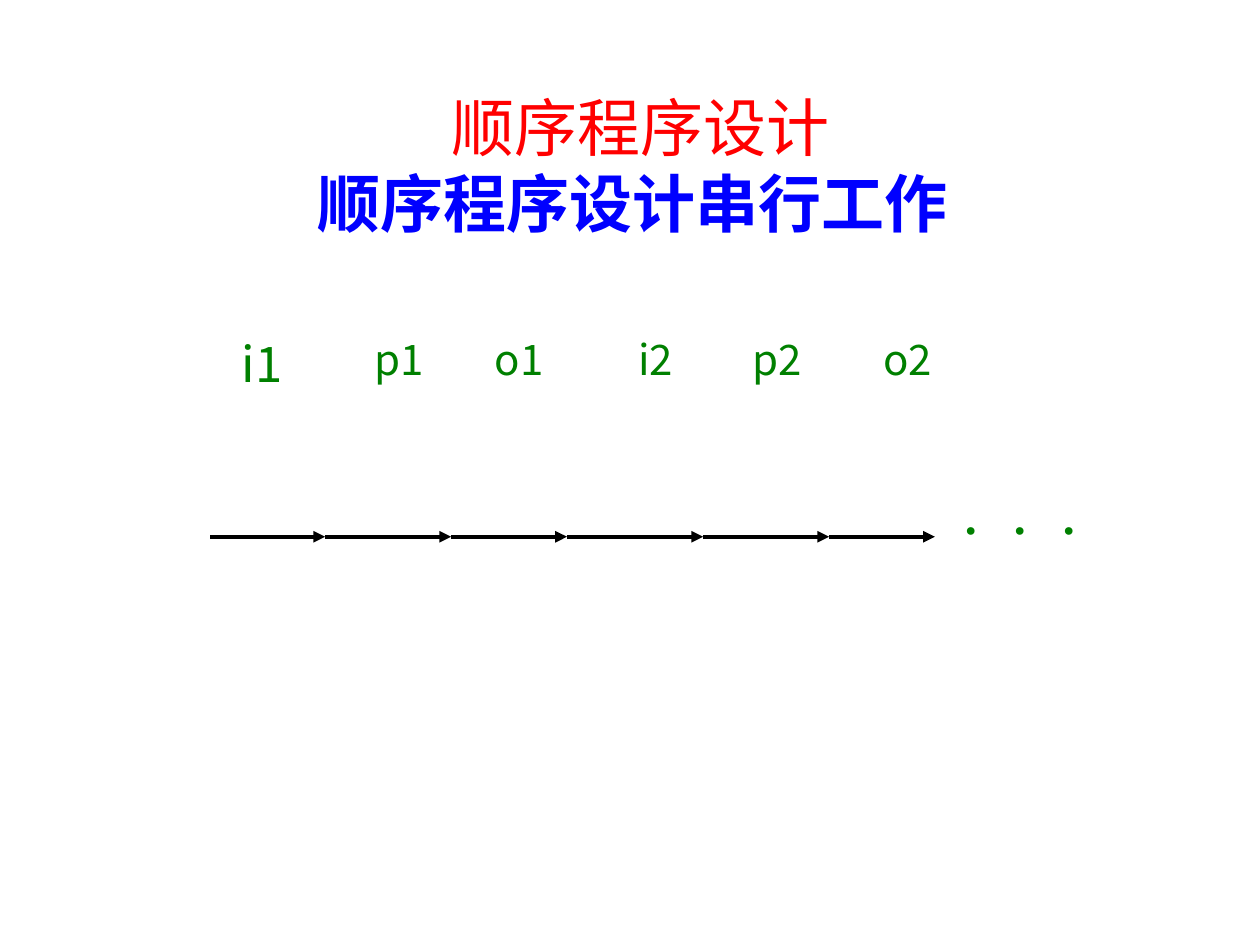
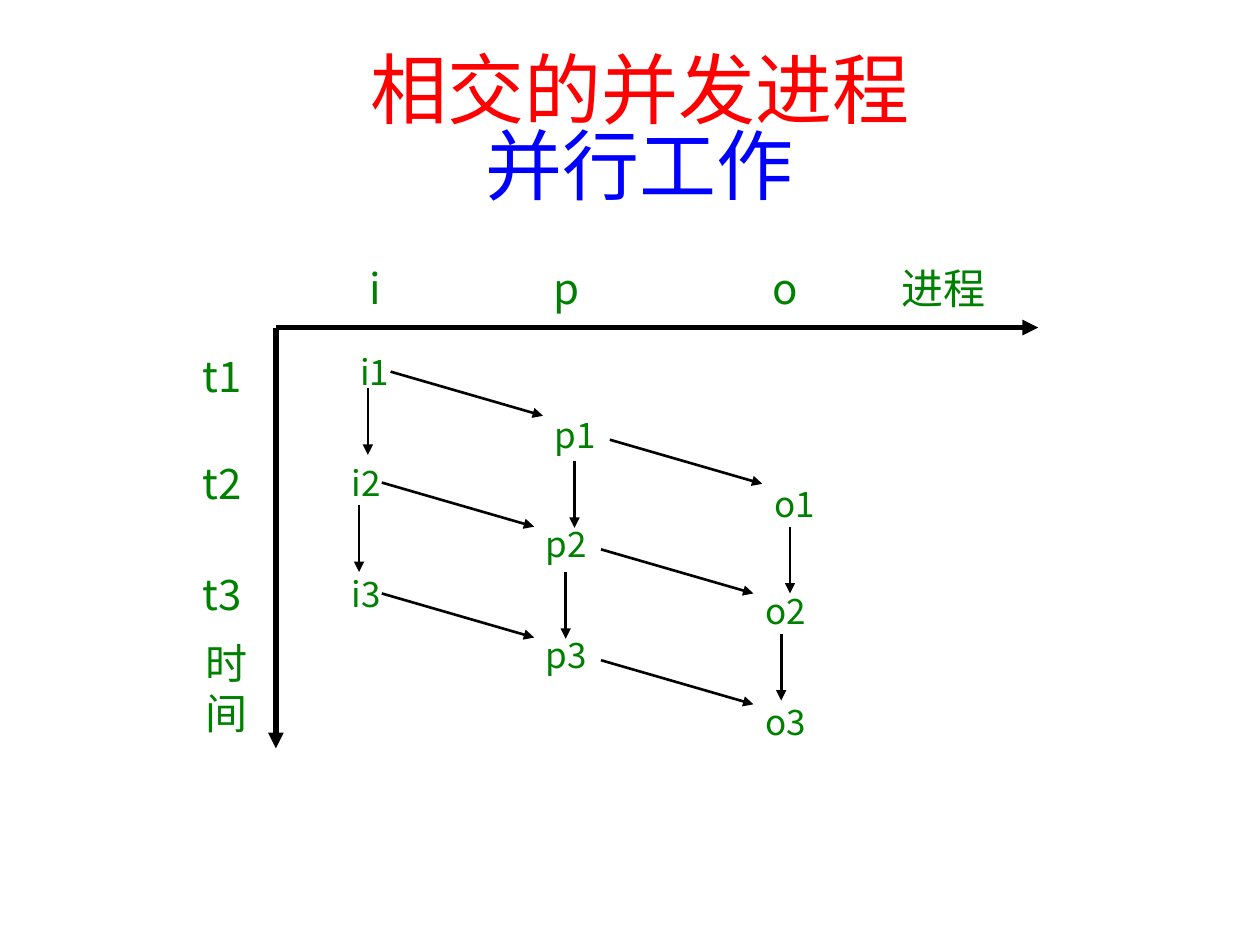
"""Build two slides comparing sequential and concurrent process execution."""
from dataclasses import dataclass
from itertools import pairwise

from lxml.etree import SubElement
from pptx import Presentation
from pptx.dml.color import RGBColor
from pptx.enum.shapes import MSO_CONNECTOR as Connector
from pptx.enum.text import MSO_ANCHOR as Anchor, MSO_AUTO_SIZE as AutoSize, PP_ALIGN as Align
from pptx.oxml.ns import qn
from pptx.util import Inches, Pt


@dataclass(frozen=True)
class Theme:
    """Colours, fonts and sizes shared by the slides."""
    heading: RGBColor = RGBColor(255, 0, 0)
    subheading: RGBColor = RGBColor(0, 0, 255)
    label: RGBColor = RGBColor(0, 128, 0)
    ink: RGBColor = RGBColor(0, 0, 0)
    title_font: str = "Times New Roman"
    label_font: str = "Noto Sans CJK SC"
    large: int = 28
    medium: int = 24
    small: int = 20
    axis_width: float = 3
    step_width: float = 2.25
    link_width: float = 1.5


theme = Theme()


def add_label(slide, text, left, top, width=0.37, height=0.38, size=theme.medium):
    """Add a centred green label without margins."""
    box = slide.shapes.add_textbox(Inches(left), Inches(top), Inches(width), Inches(height))
    frame = box.text_frame
    frame.text = text
    frame.word_wrap = True
    frame.margin_left = frame.margin_right = frame.margin_top = frame.margin_bottom = 0
    para = frame.paragraphs[0]
    para.alignment = Align.CENTER
    span = para.runs[0]
    span.font.size = Pt(size)
    span.font.name = theme.label_font
    span.font.color.rgb = theme.label
    SubElement(span.font._element, qn("a:ea"), typeface=theme.label_font)


def add_arrow(slide, left, top, across, down, width):
    """Add a black arrow from a start point over the given distance."""
    arrow = slide.shapes.add_connector(
        Connector.STRAIGHT, Inches(left), Inches(top), Inches(left + across), Inches(top + down))
    arrow.line.color.rgb = theme.ink
    arrow.line.width = Pt(width)
    SubElement(arrow.line._get_or_add_ln(), qn("a:tailEnd"), type="triangle")
    SubElement(arrow._element.spPr, qn("a:effectLst"))


deck = Presentation()
deck.slide_width, deck.slide_height = Inches(10), Inches(7.5)

titles = [
    ("顺序程序设计", "顺序程序设计串行工作 ", 0.62, 1.33, 36, True, Anchor.MIDDLE, 1.0),
    ("相交的并发进程", "并行工作", 0.36, 2.2, 44, False, Anchor.TOP, 0.83),
]
for heading, subheading, top, height, size, bold, anchor, spacing in titles:
    title = deck.slides.add_slide(deck.slide_layouts[5]).shapes.title
    title.left, title.top, title.width, title.height = (
        Inches(length) for length in (0.83, top, 8.5, height))
    frame = title.text_frame
    frame.auto_size = AutoSize.NONE
    frame.vertical_anchor = anchor
    frame.margin_top = Inches(0.09)
    para = frame.paragraphs[0]
    para.text = f"{heading}\v{subheading}"
    para.alignment = Align.CENTER
    para.line_spacing = spacing
    for span, colour in zip(para.runs, (theme.heading, theme.subheading)):
        span.font.size = Pt(size)
        span.font.name = theme.title_font
        span.font.color.rgb = colour
        SubElement(span.font._element, qn("a:ea"), typeface=theme.label_font)
    para.runs[1].font.bold = bold

serial, parallel = deck.slides

steps = [
    ("i1", 1.83, 0.5, 0.81, theme.large),
    ("p1", 2.92, 0.5, 0.71, theme.medium),
    ("o1", 3.91, 0.42, 0.61, theme.medium),
    ("i2", 4.91, 0.59, 0.91, theme.medium),
    ("p2", 5.91, 0.51, 1.11, theme.medium),
    ("o2", 6.91, 0.59, 0.91, theme.medium),
]
for name, left, width, height, size in steps:
    add_label(serial, name, left, 2.65, width, height, size)
add_label(serial, "．．．", 7.57, 3.86, 1.26, 0.71, theme.large)
for start, end in pairwise((1.67, 2.58, 3.58, 4.5, 5.58, 6.58, 7.42)):
    add_arrow(serial, start, 4.26, end - start, 0, theme.step_width)

add_arrow(parallel, 2.19, 2.6, 6.05, 0, theme.axis_width)
add_arrow(parallel, 2.19, 2.6, 0, 3.34, theme.axis_width)
for name, left in (("i", 2.79), ("p", 4.31), ("o", 6.05)):
    add_label(parallel, name, left, 2.08)
for name, top in (("t1", 2.78), ("t2", 3.63), ("t3", 4.51)):
    add_label(parallel, name, 1.58, top)
add_label(parallel, "进程", 7.03, 2.08, width=0.91)
add_label(parallel, "时间", 1.5, 5.06, width=0.6, height=0.7)

first_row_shift = 0.07
columns = [
    ("i", 2.72, (2.78, 3.66, 4.54), 0.13, (3.08, 4.01), (0.31, 0.17)),
    ("p", 4.31, (3.28, 4.15, 5.03), 0.18, (3.66, 4.54), (0.46, 0.21)),
    ("o", 6.05, (3.83, 4.68, 5.56), 0.15, (4.18, 5.03), None),
]
for name, column_left, tops, down_offset, down_starts, handover in columns:
    for row, top in enumerate(tops):
        left = column_left + (first_row_shift if row == 0 else 0)
        add_label(parallel, f"{name}{row + 1}", left, top, size=theme.small)
        if row < len(down_starts):
            add_arrow(parallel, left + down_offset, down_starts[row], 0, 0.53, theme.link_width)
        if handover:
            across, down = handover
            add_arrow(parallel, left + across, top + down, 1.21, 0.35, theme.link_width)

deck.save("out.pptx")
